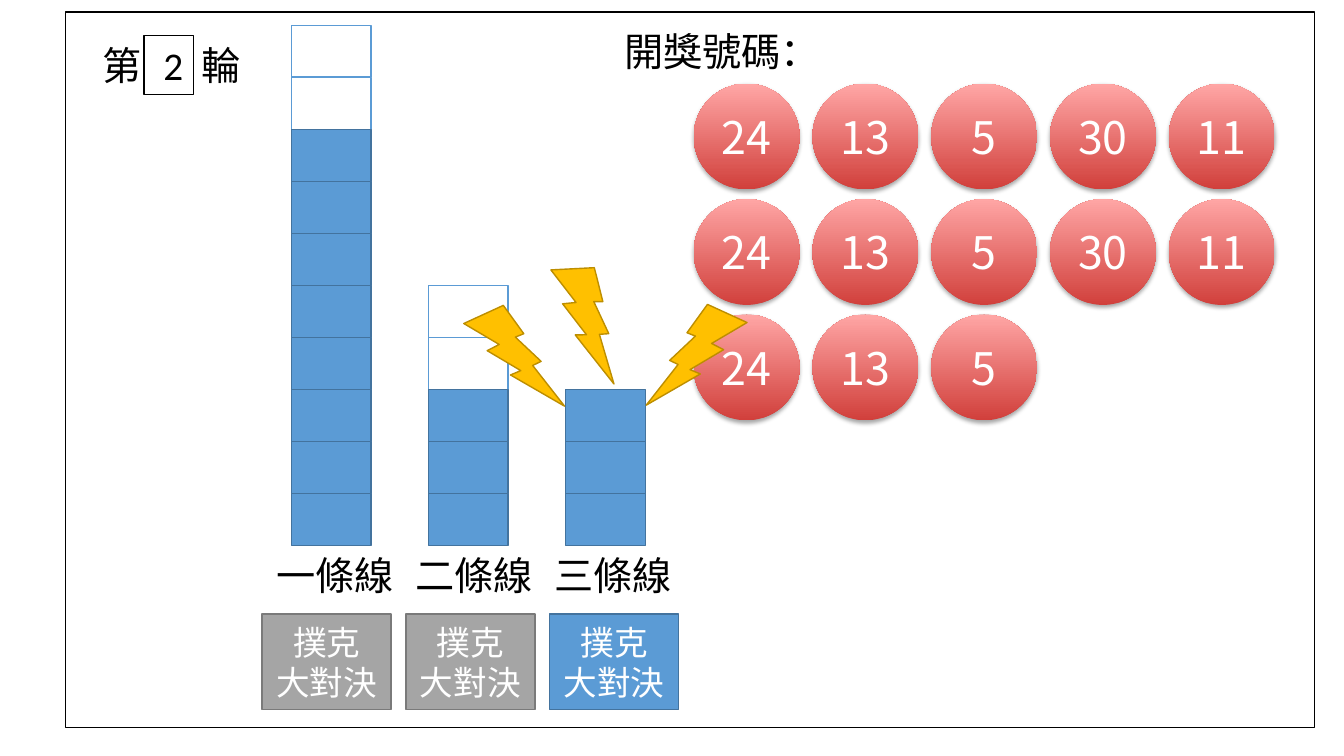
from dataclasses import dataclass
from lxml import etree
from pptx import Presentation
from pptx.dml.color import RGBColor as RGB
from pptx.enum.shapes import MSO_SHAPE as SHAPE
from pptx.enum.text import MSO_ANCHOR as ANCHOR, MSO_AUTO_SIZE as FIT, PP_ALIGN as ALIGN
from pptx.oxml import parse_xml
from pptx.oxml.ns import nsdecls, qn
from pptx.util import Inches, Pt


@dataclass(frozen=True)
class Theme:
    black: str = "000000"
    white: str = "FFFFFF"
    blue: str = "5B9BD5"
    blue_edge: str = "43739E"
    grey: str = "A5A5A5"
    grey_edge: str = "7A7A7A"
    gold: str = "FFC000"
    gold_edge: str = "BD8E00"
    ball_dark: str = "D1403C"
    ball_light: str = "FFA6A5"
    font: str = "Calibri"
    ball_font: str = "Noto Sans CJK SC"
    label: int = 28
    ball: int = 32
    card: int = 24


T = Theme()

# Content
TITLE = "開獎號碼："
ROUND = ("第\t輪", "2")
TOWERS = [("一條線", 2, 8), ("二條線", 2, 3), ("三條線", 0, 3)]  # label, empty, filled
CARD = "撲克\n大對決"
CARDS = [(2, T.blue, T.blue_edge), (0, T.grey, T.grey_edge), (1, T.grey, T.grey_edge)]
DRAWS = [(24, 13, 5, 30, 11), (24, 13, 5, 30, 11), (24, 13, 5)]
BOLTS = [(4.6, 3.03, 0, False), (5.31, 2.66, 21.7, False), (6.41, 3.02, 0, True)]

# Layout, in inches
BLOCK_W, BLOCK_H, FLOOR = 0.79, 0.516, 5.41
BALL, BALL_DX, BALL_DY = 1.05, 1.178, 1.145

prs = Presentation()
prs.slide_width, prs.slide_height = Inches(13.33), Inches(7.5)
s = prs.slides.add_slide(prs.slide_layouts[5])


def write(shape, text, size=T.label, color=T.black, font=T.font, align=ALIGN.LEFT,
          anchor=ANCHOR.MIDDLE, wrap=True, fit=FIT.NONE):
    tf = shape.text_frame
    tf.word_wrap, tf.auto_size, tf.vertical_anchor = wrap, fit, anchor
    for i, line in enumerate(text.split("\n")):
        p = tf.add_paragraph() if i else tf.paragraphs[0]
        p.alignment = align
        r = p.add_run()
        r.text = line
        r.font.size, r.font.name = Pt(size), font
        r.font.color.rgb = RGB.from_string(color)
    return tf


def label(box, text):
    return write(box, text, anchor=ANCHOR.TOP, wrap=False, fit=FIT.SHAPE_TO_FIT_TEXT)


def place(x, y, w, h):
    return [Inches(v) for v in (x, y, w, h)]


def draw(kind, x, y, w, h, fill, edge, parent=s):
    sp = parent.shapes.add_shape(kind, *place(x, y, w, h))
    sp.shadow.inherit = False
    sp.fill.solid()
    sp.fill.fore_color.rgb = RGB.from_string(fill)
    sp.line.color.rgb = RGB.from_string(edge)
    sp.line.width = Pt(1)
    return sp


def draw_ball(x, y, number):
    sp = draw(SHAPE.OVAL, x, y, BALL, BALL, T.ball_dark, T.ball_dark)
    sp.line.fill.background()
    sp.fill.gradient()
    sp.fill.gradient_angle = 90
    for stop, position, color in zip(sp.fill.gradient_stops, (0, 1), (T.ball_dark, T.ball_light)):
        stop.position, stop.color.rgb = position, RGB.from_string(color)
    effects = sp.element.spPr.find(qn("a:effectLst"))
    effects.append(parse_xml(
        f'<a:outerShdw {nsdecls("a")} blurRad="40000" dist="23000" dir="5400000" rotWithShape="0">'
        f'<a:srgbClr val="{T.black}"><a:alpha val="35000"/></a:srgbClr></a:outerShdw>'))
    write(sp, str(number), size=T.ball, color=T.white, font=T.ball_font, align=ALIGN.CENTER)


# Frame
draw(SHAPE.RECTANGLE, 0.65, 0.12, 12.39, 7.1, T.white, T.black)

# Towers and their labels
for col, (name, empty, filled) in enumerate(TOWERS):
    count = empty + filled
    for row in range(count):
        fill, edge = (T.white, T.blue) if row < empty else (T.blue, T.blue_edge)
        draw(SHAPE.RECTANGLE, 2.89 + 1.36 * col, FLOOR - (count - row) * BLOCK_H,
             BLOCK_W, BLOCK_H, fill, edge)
for col, (name, _, _) in enumerate(TOWERS):
    label(s.shapes.add_textbox(*place(2.64 + 1.38 * col, 5.42, 1.38, 0.57)), name)

# Drawn numbers
for row, numbers in enumerate(DRAWS):
    for col, number in enumerate(numbers):
        draw_ball(6.88 + BALL_DX * col, 0.83 + BALL_DY * row, number)

# Title, brought in front of the frame
title = s.shapes.title
title.left, title.top, title.width, title.height = place(6.09, 0.22, 2.17, 0.57)
label(title, TITLE)
title.element.getparent().append(title.element)

# Lightning bolts
for x, y, angle, flipped in BOLTS:
    bolt = draw(SHAPE.LIGHTNING_BOLT, x, y, 1, 1, T.gold, T.gold_edge)
    bolt.rotation = angle
    if flipped:
        bolt.element.spPr.find(qn("a:xfrm")).set("flipH", "1")

# Game cards
for col, fill, edge in CARDS:
    card = draw(SHAPE.RECTANGLE, 2.6 + 1.425 * col, 6.09, 1.28, 0.95, fill, edge)
    write(card, CARD, size=T.card, color=T.white, align=ALIGN.CENTER)

# Round counter: a tab stop leaves room for the number box
counter = s.shapes.add_group_shape()
tf = label(counter.shapes.add_textbox(*place(0.92, 0.36, 1.57, 0.57)), ROUND[0])
tabs = etree.SubElement(tf.paragraphs[0]._p.get_or_add_pPr(), qn("a:tabLst"))
etree.SubElement(tabs, qn("a:tab"), pos=str(Inches(0.98)), algn="l")
box = draw(SHAPE.RECTANGLE, 1.43, 0.35, 0.49, 0.59, T.white, T.black, parent=counter)
write(box, ROUND[1]).margin_left = Inches(0.19)

prs.save("out.pptx")
